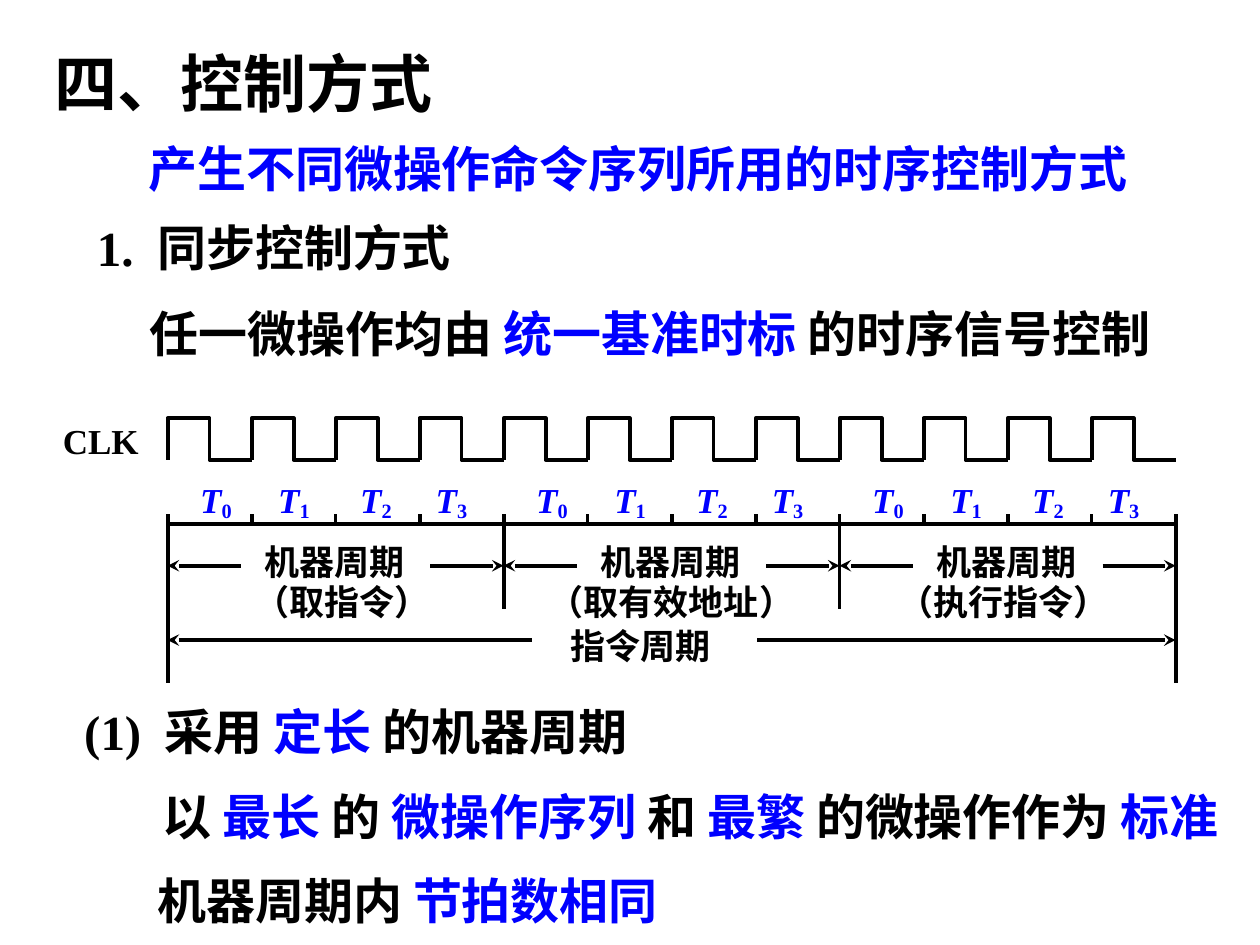
import pptx
import pptx.dml.color
import pptx.enum.shapes
import pptx.enum.text
import pptx.oxml
import pptx.oxml.ns
import pptx.util
import lxml.etree

Inches = pptx.util.Inches
COLORS = {"ink": "000000", "accent": "0000FF"}
FONT = "Times New Roman"
LINE_WIDTH = 2.25
TICKS_PER_CYCLE = 4
TICK_LABEL_OFFSETS = (0.16, 0.78, 1.43, 2.03)
CYCLE_STAGES = (
    ("（取指令）", 0.59, 1.59),
    ("（取有效地址）", 0.26, 2.15),
    ("（执行指令）", 0.37, 1.87),
)
STATEMENTS = (
    ((1.08, 1.05, 7.96, 0.57), [("产生不同微操作命令序列所用的时序控制方式", "accent")], None),
    ((0.67, 1.68, 4.08, 0.57), [("1.\t同步控制方式", "ink")], 0.48),
    ((1.09, 2.36, 8.14, 0.57), [("任一微操作均由 ", "ink"), ("统一基准时标 ", "accent"),
                                ("的时序信号控制", "ink")], None),
    ((0.57, 5.52, 5.38, 0.57), [("(1)\t采用 ", "ink"), ("定长 ", "accent"),
                                ("的机器周期", "ink")], 0.64),
    ((1.19, 6.19, 8.58, 0.57), [("以 ", "ink"), ("最长 ", "accent"), ("的 ", "ink"),
                                ("微操作序列 ", "accent"), ("和 ", "ink"), ("最繁 ", "accent"),
                                ("的微操作作为 ", "ink"), ("标准", "accent")], None),
    ((1.15, 6.86, 5.51, 0.57), [("机器周期内 ", "ink"), ("节拍数相同", "accent")], None),
)


def rgb(name):
    return pptx.dml.color.RGBColor.from_string(COLORS[name])


def add_tab_stop(paragraph, position):
    tabs = lxml.etree.SubElement(paragraph._p.get_or_add_pPr(), pptx.oxml.ns.qn("a:tabLst"))
    lxml.etree.SubElement(tabs, pptx.oxml.ns.qn("a:tab"), pos=str(Inches(position)), algn="l")


def write(frame, runs, size=20, tab=None, wrap=False):
    frame.word_wrap = wrap
    frame.auto_size = pptx.enum.text.MSO_AUTO_SIZE.NONE
    frame.vertical_anchor = pptx.enum.text.MSO_ANCHOR.TOP
    paragraph = frame.paragraphs[0]
    paragraph.alignment = pptx.enum.text.PP_ALIGN.LEFT
    if tab:
        add_tab_stop(paragraph, tab)
    for text, color, *style in runs:
        run = paragraph.add_run()
        run.text = text
        run.font.name = FONT
        run.font.size = pptx.util.Pt(size)
        run.font.bold = True
        run.font.italic = "italic" in style
        run.font.color.rgb = rgb(color)
        if "subscript" in style:
            run._r.get_or_add_rPr().set("baseline", "-15000")


def add_text(slide, box, runs, **style):
    frame = slide.shapes.add_textbox(*map(Inches, box)).text_frame
    write(frame, runs, **style)


def add_line(slide, start, end, arrow=False):
    line = slide.shapes.add_connector(
        pptx.enum.shapes.MSO_CONNECTOR.STRAIGHT, *map(Inches, start + end))
    line.line.color.rgb = rgb("ink")
    line.line.width = pptx.util.Pt(LINE_WIDTH)
    properties = line._element.spPr
    if arrow:
        lxml.etree.SubElement(properties.get_or_add_ln(), pptx.oxml.ns.qn("a:tailEnd"), type="stealth")
    lxml.etree.SubElement(properties, pptx.oxml.ns.qn("a:effectLst"))


def add_title(slide, box):
    title = slide.shapes.title
    title.left, title.top, title.width, title.height = map(Inches, box)
    write(title.text_frame, [("四、控制方式", "ink")], size=36)


def add_clock(slide, box, pulses):
    left, top, width, height = box
    add_text(slide, (left - 0.93, top - 0.04, 0.8, 0.44), [("CLK", "ink")])
    period = width / pulses
    for index in range(pulses):
        x = left + index * period
        low, middle = top + height, x + period / 2
        points = [(x, top), (middle, top), (middle, low), (x + period, low)]
        builder = slide.shapes.build_freeform(Inches(x), Inches(low))
        builder.add_line_segments([tuple(map(Inches, point)) for point in points], close=False)
        pulse = builder.convert_to_shape()
        pulse.shadow.inherit = False
        pulse.fill.background()
        pulse.line.color.rgb = rgb("ink")
        pulse.line.width = pptx.util.Pt(LINE_WIDTH)


def add_machine_cycle(slide, box, stage):
    left, top, width, height = box
    right, axis, arrow_y = left + width, top + 0.08, top + 0.41
    for tick in range(1, TICKS_PER_CYCLE):
        x = left + tick * width / TICKS_PER_CYCLE
        add_line(slide, (x, top), (x, axis))
    for tick, offset in enumerate(TICK_LABEL_OFFSETS):
        add_text(slide, (left + offset, top - 0.33, 0.45, 0.45),
                 [("T", "accent", "italic"), (str(tick), "accent", "subscript")])
    add_line(slide, (left + 0.58, arrow_y), (left, arrow_y), arrow=True)
    add_line(slide, (right - 0.58, arrow_y), (right, arrow_y), arrow=True)
    add_text(slide, (left + 0.67, top + 0.16, 1.31, 0.44), [("机器周期", "ink")])
    name, offset, name_width = stage
    add_text(slide, (left + offset, top + 0.48, name_width, 0.44), [(name, "ink")])


def add_instruction_cycle(slide, box):
    left, top, width, height = box
    right, axis, arrow_y = left + width, top + 0.08, top + 1
    cycle_width = width / len(CYCLE_STAGES)
    add_line(slide, (left, axis), (right, axis))
    for x in (left, right):
        add_line(slide, (x, top), (x, top + height))
    for index, stage in enumerate(CYCLE_STAGES):
        x = left + index * cycle_width
        if index:
            add_line(slide, (x, top), (x, top + 0.75))
        add_machine_cycle(slide, (x, top, cycle_width, height), stage)
    add_line(slide, (left + 2.89, arrow_y), (left, arrow_y), arrow=True)
    add_line(slide, (right - 3.32, arrow_y), (right, arrow_y), arrow=True)
    add_text(slide, (left + 3.1, top + 0.83, 1.31, 0.44), [("指令周期", "ink")])


def main():
    deck = pptx.Presentation()
    deck.slide_width, deck.slide_height = Inches(10), Inches(7.5)
    slide = deck.slides.add_slide(deck.slide_layouts[5])
    add_title(slide, (0.33, 0.3, 3.4, 0.7))
    for box, runs, tab in STATEMENTS:
        add_text(slide, box, runs, size=28, tab=tab)
    add_clock(slide, (1.33, 3.32, 8, 0.33), TICKS_PER_CYCLE * len(CYCLE_STAGES))
    add_instruction_cycle(slide, (1.33, 4.08, 8, 1.34))
    deck.save("out.pptx")


if __name__ == "__main__":
    main()
